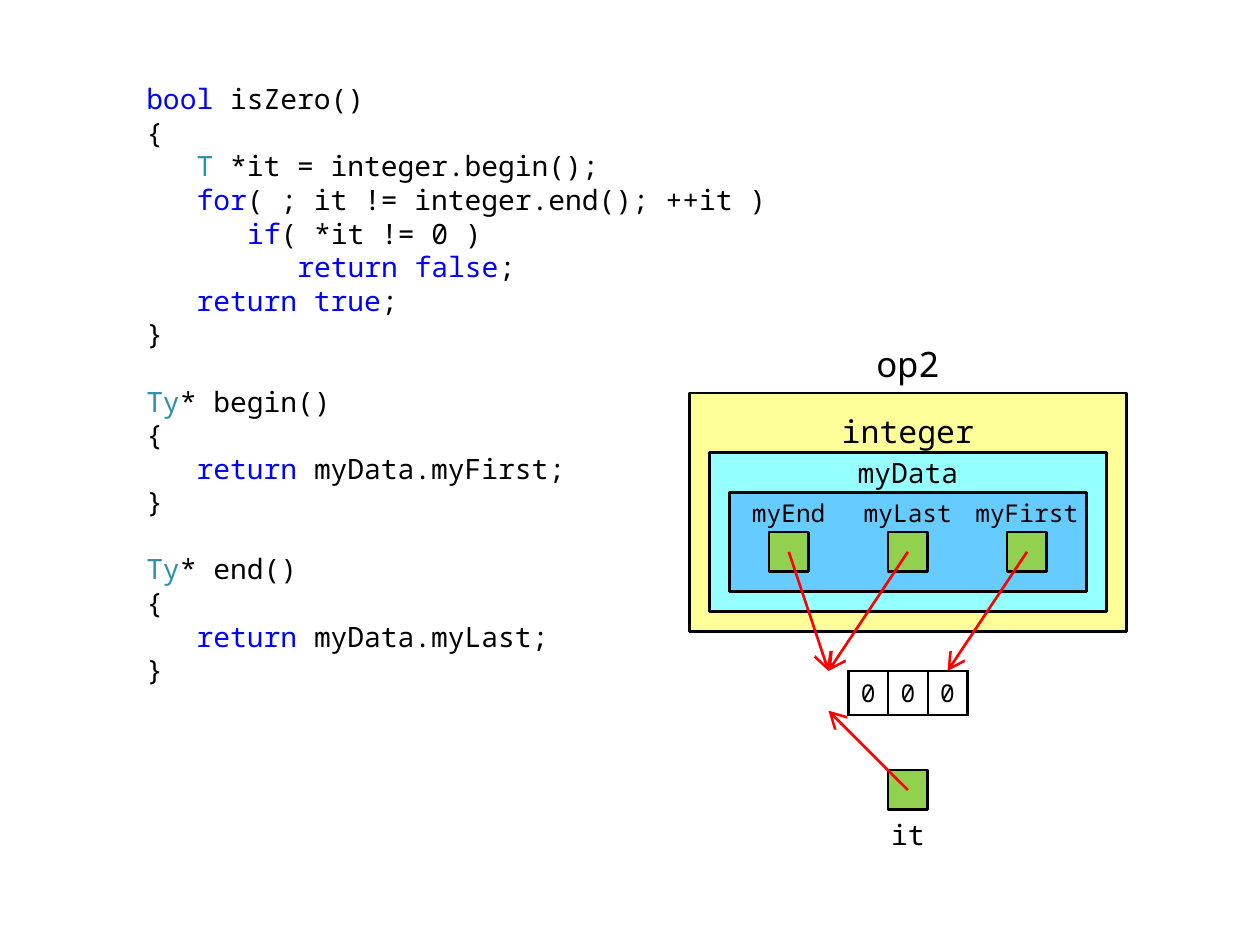
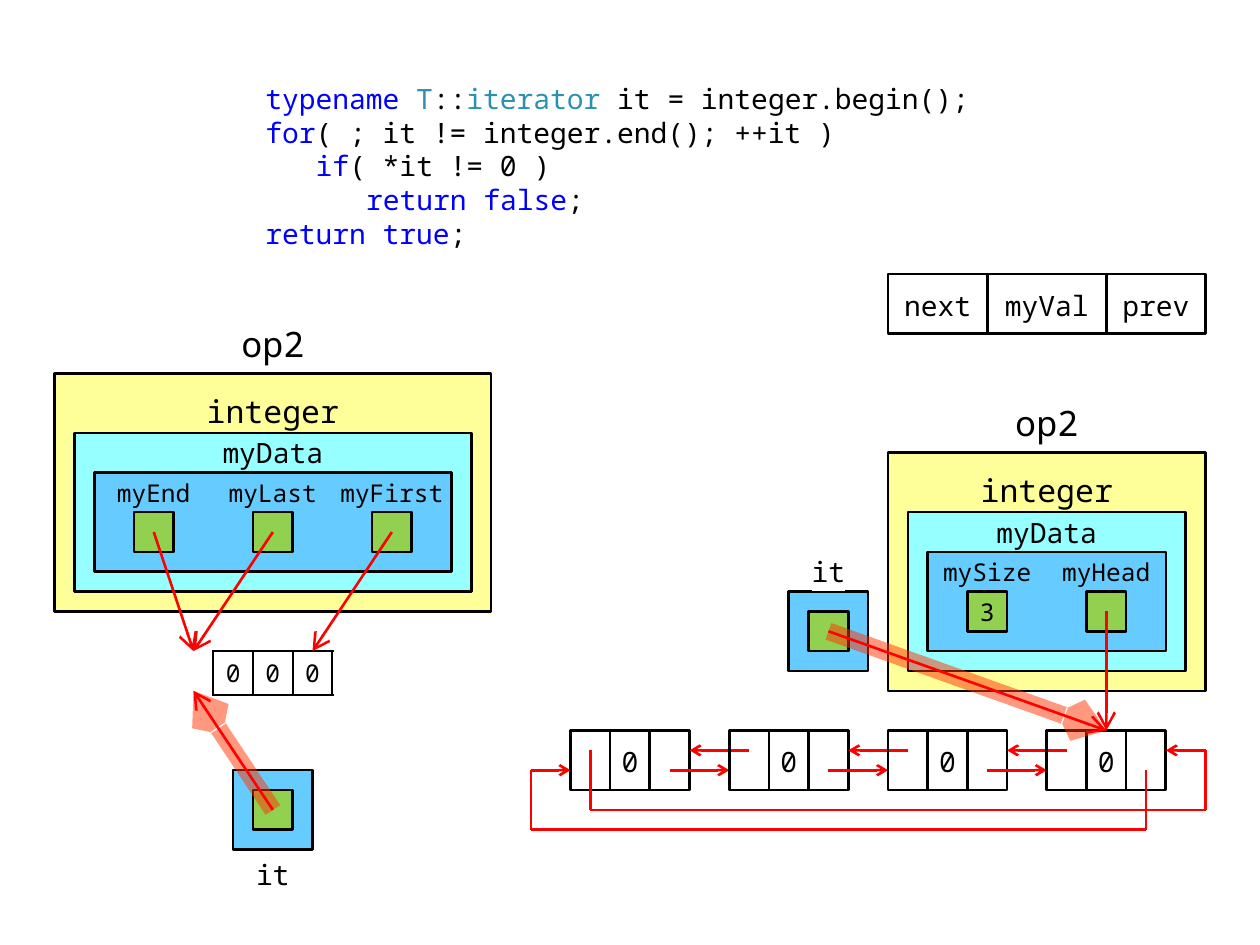
from pptx import Presentation
from pptx import util as u
from pptx.dml.color import RGBColor
from pptx.enum import shapes, text
from pptx.oxml import parse_xml
from pptx.oxml.ns import nsdecls, qn

# ---- content: code as (gap before, indent level, runs), run = (role, text)
IS_ZERO = [
    (0, 0, [("keyword", "bool "), ("ink", "isZero()")]),
    (0, 0, [("ink", "{")]),
    (0, 1, [("type", "T"), ("ink", " *it = integer.begin();")]),
    (0, 1, [("keyword", "for"), ("ink", "( ; it != integer.end(); ++it )")]),
    (0, 2, [("keyword", "if"), ("ink", "( *it != 0 )")]),
    (0, 3, [("keyword", "return false"), ("ink", ";")]),
    (0, 1, [("keyword", "return true"), ("ink", ";")]),
    (0, 0, [("ink", "}")]),
]


def accessor(name, member):
    return [
        (1, 0, [("type", "Ty"), ("ink", f"* {name}()")]),
        (0, 0, [("ink", "{")]),
        (0, 1, [("keyword", "return "), ("ink", f"myData.{member};")]),
        (0, 0, [("ink", "}")]),
    ]


POINTER_CODE = IS_ZERO + accessor("begin", "myFirst") + accessor("end", "myLast")
# The generic version keeps the loop, one level further out
ITERATOR_CODE = [
    (0, 0, [("keyword", "typename "), ("type", "T"), ("ink", "::"),
            ("type", "iterator"), ("ink", " it = integer.begin();")]),
] + [(gap, level - 1, runs) for gap, level, runs in IS_ZERO[3:7]]

VECTOR_FIELDS = [("myEnd", ""), ("myLast", ""), ("myFirst", "")]
LIST_FIELDS = [("mySize", "3"), ("myHead", "")]
VALUES = ["0", "0", "0"]
NODE_VALUES = ["0", "0", "0", "0"]
NODE_LEGEND = [("next", 5), ("myVal", 6), ("prev", 5)]

# ---- theme and grid (0.4 cm squares)
THEME = {
    "font": "Noto Sans Mono", "ink": "000000", "keyword": "0000FF",
    "type": "2B91AF", "object": "FFFF99", "member": "96FFFF",
    "data": "66CCFF", "field": "92D050", "pointer": "FF0000",
    "glow": "FF3300", "paper": "FFFFFF",
    "title": 20, "heading": 18, "body": 16, "small": 14,
    "line": 1.5, "glow_line": 10,
}
UNIT, LEFT, TOP = 11.34, 8.5, 9.2
CODE_LINE, CODE_INDENT, ARRAY_ROW = 19.2, 28.8, 25
NODE_X, NODE_Y, NODE_STEP = 28, 36, 8


def rgb(role):
    return RGBColor.from_string(THEME[role])


def gx(col):
    return u.Pt(round(LEFT + col * UNIT, 2))


def gy(row):
    return u.Pt(round(TOP + row * UNIT, 2))


def span(n):
    return u.Pt(round(n * UNIT, 2))


def assign(target, values):
    for name, value in values.items():
        setattr(target, name, value)


# ---- text
def add_run(p, words, size="body", role="ink", highlight=False):
    r = p.add_run()
    r.text = words
    assign(r.font, {"name": THEME["font"], "size": u.Pt(THEME[size])})
    r.font.color.rgb = rgb(role)
    if highlight:
        r.font._element.find(qn("a:solidFill")).addnext(parse_xml(
            f'<a:highlight {nsdecls("a")}><a:srgbClr val="{THEME["paper"]}"/></a:highlight>'))


def write(tf, words, size, top=0, bottom=0, anchor="MIDDLE", highlight=False):
    assign(tf, {"word_wrap": False, "margin_left": 0, "margin_right": 0,
                "margin_top": u.Pt(top), "margin_bottom": u.Pt(bottom),
                "vertical_anchor": text.MSO_ANCHOR[anchor]})
    p = tf.paragraphs[0]
    p.alignment = text.PP_ALIGN.CENTER
    add_run(p, words, size, highlight=highlight)


def label(s, x, y, w, h, words, size, **fmt):
    sp = s.shapes.add_textbox(gx(x), gy(y), span(w), span(h))
    write(sp.text_frame, words, size, **fmt)


def code(s, x, y, w, h, lines):
    tf = s.shapes.add_textbox(gx(x), gy(y), span(w), span(h)).text_frame
    tf.word_wrap = True
    for i, (gap, level, runs) in enumerate(lines):
        p = tf.add_paragraph() if i else tf.paragraphs[0]
        p.space_before = u.Pt(gap * CODE_LINE)
        p._p.get_or_add_pPr().set("marL", str(u.Pt(level * CODE_INDENT)))
        for role, words in runs:
            add_run(p, words, role=role)


# ---- boxes, pointers, arrays
def box(s, x, y, w, h, fill=None, words="", size="body", top=4.3, bottom=2.9,
        kind="RECTANGLE", outline=True):
    sp = s.shapes.add_shape(shapes.MSO_SHAPE[kind], gx(x), gy(y), span(w), span(h))
    sp.shadow.inherit = False
    if fill:
        sp.fill.solid()
        sp.fill.fore_color.rgb = rgb(fill)
    else:
        sp.fill.background()
    if outline:
        sp.line.color.rgb = rgb("ink")
        sp.line.width = u.Pt(THEME["line"])
    else:
        sp.line.fill.background()
    if words:
        write(sp.text_frame, words, size, top, bottom)


def panel(s, x, y, w, h, fill=None, **fmt):
    box(s, x, y, w, h, fill, kind="FLOWCHART_PROCESS", **fmt)


def field(s, x, y, words=""):
    box(s, x, y, 2, 2, "field", words, "small", 3.6, 3.6)


def line(s, start, end, head="lg", role="pointer", width="line", alpha=None):
    (x1, y1), (x2, y2) = start, end
    c = s.shapes.add_connector(shapes.MSO_CONNECTOR.STRAIGHT,
                               gx(x1), gy(y1), gx(x2), gy(y2))
    c.line.color.rgb = rgb(role)
    c.line.width = u.Pt(THEME[width])
    ln = c.line._get_or_add_ln()
    if alpha:
        ln.find(".//" + qn("a:srgbClr")).append(parse_xml(
            f'<a:alpha {nsdecls("a")} val="{alpha * 1000}"/>'))
    if head:
        ln.append(parse_xml(
            f'<a:tailEnd {nsdecls("a")} type="arrow" w="{head}" len="{head}"/>'))
    c._element.spPr.append(parse_xml(f'<a:effectLst {nsdecls("a")}/>'))


def route(s, points):
    """Bent pointer: only the last leg carries the arrowhead."""
    for i in range(len(points) - 1):
        line(s, points[i], points[i + 1], "med" if i == len(points) - 2 else None)


def glowing(s, start, end):
    line(s, start, end, "sm", role="glow", width="glow_line", alpha=50)
    line(s, start, end)


def array(s, x, y, values):
    t = s.shapes.add_table(1, len(values), gx(x), gy(y),
                           span(2 * len(values)), u.Pt(ARRAY_ROW)).table
    assign(t, {"first_row": False, "horz_banding": False})
    for i, value in enumerate(values):
        t.columns[i].width = span(2)
        cell = t.cell(0, i)
        cell.fill.background()
        assign(cell, {"margin_left": u.Pt(4.3), "margin_right": u.Pt(4.3),
                      "margin_top": u.Pt(2.9), "margin_bottom": u.Pt(5),
                      "vertical_anchor": text.MSO_ANCHOR.MIDDLE})
        p = cell.text_frame.paragraphs[0]
        p.alignment = text.PP_ALIGN.CENTER
        add_run(p, value, "small")
        for k, side in enumerate(("lnL", "lnR", "lnT", "lnB")):
            cell._tc.get_or_add_tcPr().insert(k, parse_xml(
                f'<a:{side} {nsdecls("a")} w="{u.Pt(THEME["line"])}"><a:solidFill>'
                f'<a:srgbClr val="{THEME["ink"]}"/></a:solidFill></a:{side}>'))


# ---- diagrams
def nested_object(s, x, y, fields):
    """op2 > integer > myData > one six-unit column per field."""
    w = 6 * len(fields) + 4
    mid = x + w // 2
    panel(s, x, y, w, 12, "object")
    panel(s, x + 1, y + 3, w - 2, 8, "member")
    panel(s, x + 2, y + 5, w - 4, 5, "data")
    label(s, mid - 7, y - 3, 14, 3, "op2", "title")
    label(s, mid - 4, y, 8, 3, "integer", "heading", top=8.6)
    label(s, mid - 4, y + 3, 8, 2, "myData", "body")
    for i, (name, value) in enumerate(fields):
        left = x + 2 + 6 * i
        panel(s, left, y + 5, 6, 2, words=name, size="small",
              top=3.6, bottom=3.6, outline=False)
        field(s, left + 2, y + 7, value)


def vector(s, x, y):
    nested_object(s, x, y, VECTOR_FIELDS)
    array(s, x + 8, y + 14, VALUES)
    for start, end in ((5, 7), (11, 7), (17, 13)):
        line(s, (x + start, y + 8), (x + end, y + 14))


def iterator(s, x, y, target, label_row, boxed=True, **fmt):
    if boxed:
        panel(s, x, y, 4, 4, "data")
    field(s, x + 1, y + 1)
    label(s, x, label_row, 4, 2, "it", "body", highlight=True, **fmt)
    (glowing if boxed else line)(s, (x + 2, y + 2), target)


def linked_nodes(s, x, y, values):
    last = x + NODE_STEP * (len(values) - 1)
    for i, value in enumerate(values):
        left = x + NODE_STEP * i
        for k, words in enumerate(("", value, "")):
            box(s, left + 2 * k, y, 2, 3, words=words)
        if left < last:
            route(s, [(left + 5, y + 2), (left + NODE_STEP, y + 2)])
            route(s, [(left + NODE_STEP + 1, y + 1), (left + 6, y + 1)])
    # The ring closes below the row, both ways
    route(s, [(last + 5, y + 2), (last + 5, y + 5), (x - 2, y + 5),
              (x - 2, y + 2), (x, y + 2)])
    route(s, [(x + 1, y + 1), (x + 1, y + 4), (last + 8, y + 4),
              (last + 8, y + 1), (last + 6, y + 1)])


prs = Presentation()
assign(prs, {"slide_width": u.Pt(720), "slide_height": u.Pt(540)})
blank = prs.slide_layouts[6]

# Slide 1: pointer loop over a vector
s = prs.slides.add_slide(blank)
code(s, 6, 3, 33, 31, POINTER_CODE)
vector(s, 34, 19)
iterator(s, 43, 37, (41, 35), 40, boxed=False, top=4.3, anchor="TOP")

# Slide 2: the same loop over a vector and a list
s = prs.slides.add_slide(blank)
code(s, 12, 3, 38, 9, ITERATOR_CODE)
vector(s, 2, 18)
iterator(s, 11, 38, (9, 34), 42, top=4.3, anchor="TOP")
left = 44
for words, width in NODE_LEGEND:
    box(s, left, 13, width, 3, words=words)
    left += width
nested_object(s, 44, 22, LIST_FIELDS)
linked_nodes(s, NODE_X, NODE_Y, NODE_VALUES)
line(s, (55, 30), (55, NODE_Y))
iterator(s, 39, 29, (55, NODE_Y), 27)

prs.save("out.pptx")
